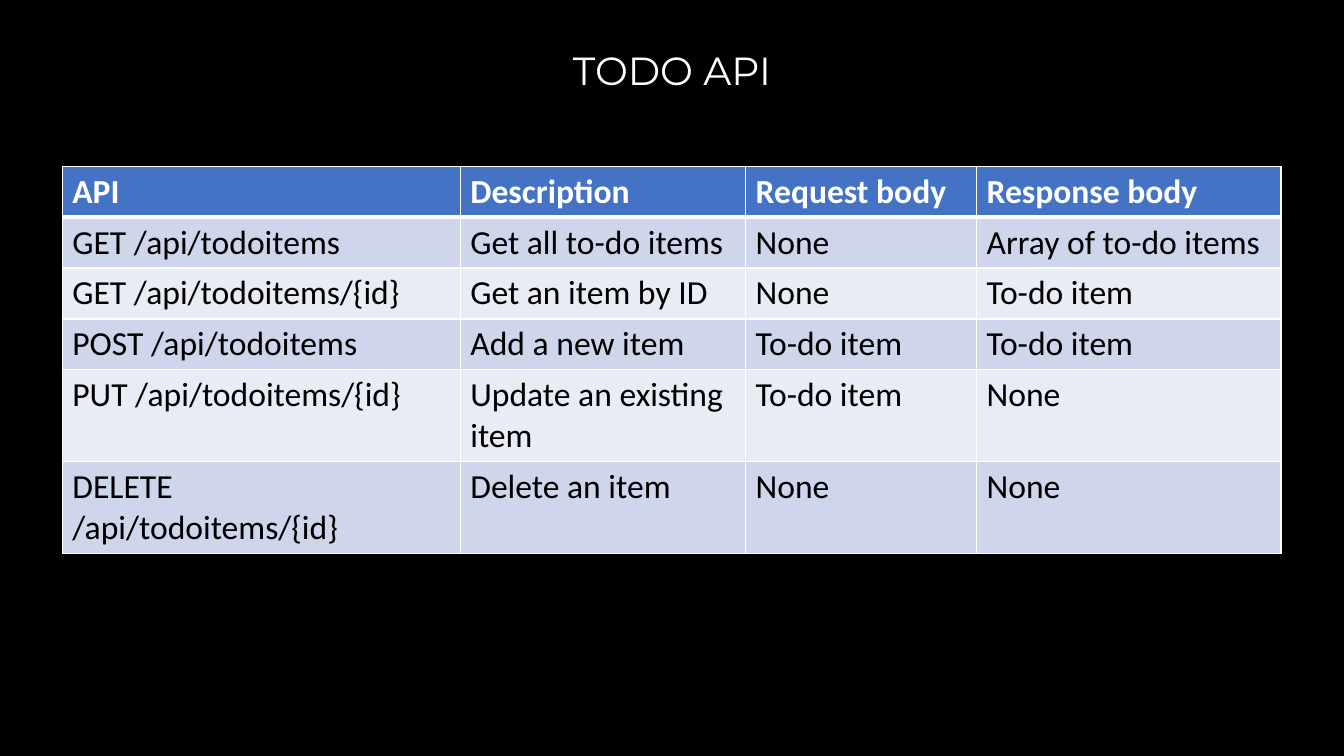
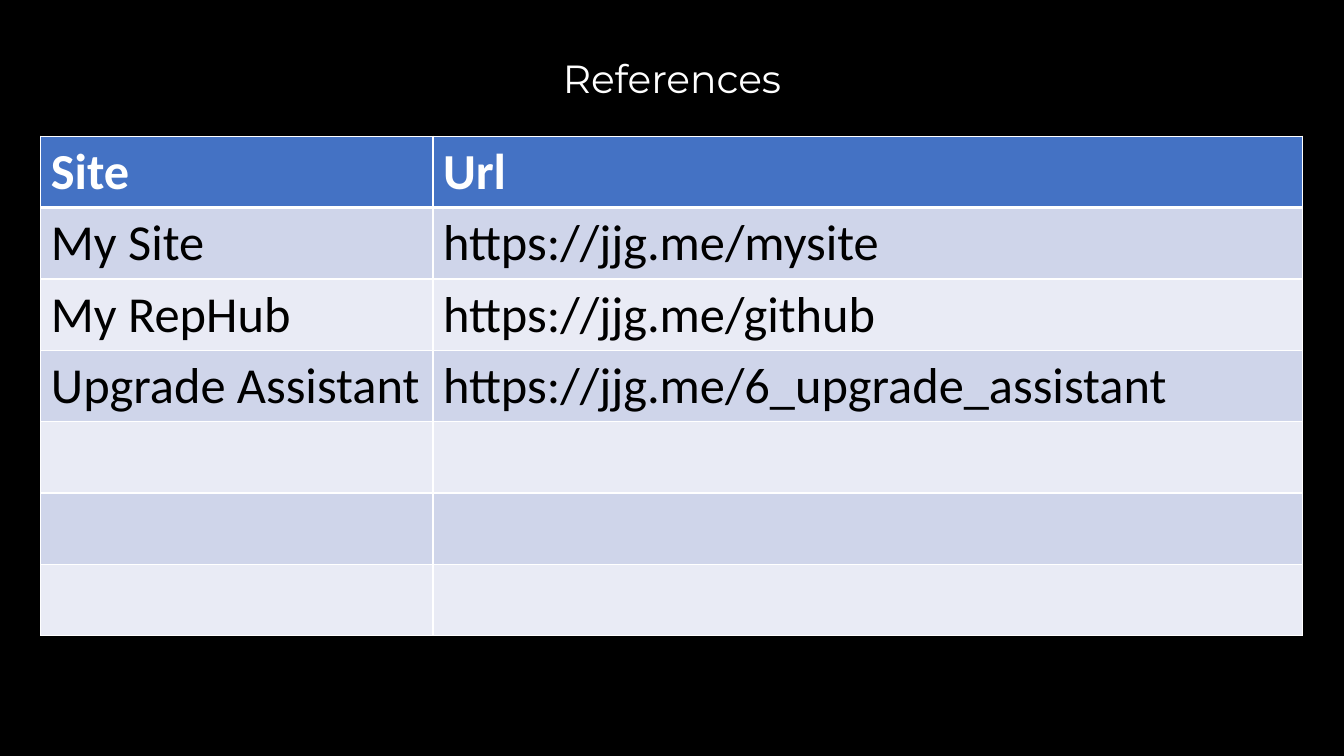
import pptx
import pptx.dml.color
import pptx.enum.text
import pptx.oxml
import pptx.oxml.ns
import pptx.util

Cm, Pt = pptx.util.Cm, pptx.util.Pt

BLACK, WHITE, HEADER = "000000", "FFFFFF", "4472C4"
BANDS = ("E9EBF5", "CFD5EA")
TITLE_FONT, TABLE_FONT = "Montserrat", "Calibri"
LINE_HEIGHT = 1.22
CELL_PADDING = Cm(0.25)

SLIDES = [
    {
        "title": "TODO API",
        "title_top": 0.81,
        "table_at": (1.57, 4.19),
        "columns": (10.03, 7.19, 5.82, 7.67),
        "line_counts": (1, 1, 1, 1, 2, 2),
        "size": 24,
        "rows": [
            ("API", "Description", "Request body", "Response body"),
            ("GET /api/todoitems", "Get all to-do items", "None", "Array of to-do items"),
            ("GET /api/todoitems/{id}", "Get an item by ID", "None", "To-do item"),
            ("POST /api/todoitems", "Add a new item", "To-do item", "To-do item"),
            ("PUT /api/todoitems/{id}", "Update an existing item", "To-do item", "None"),
            ("DELETE \v/api/todoitems/{id}", "Delete an item", "None", "None"),
        ],
    },
    {
        "title": "References",
        "title_top": 1.02,
        "table_at": (1.03, 3.43),
        "columns": (9.88, 21.92),
        "line_counts": (1,) * 7,
        "size": 36,
        "rows": [
            ("Site", "Url"),
            ("My Site", "https://jjg.me/mysite"),
            ("My RepHub", "https://jjg.me/github"),
            ("Upgrade Assistant", "https://jjg.me/6_upgrade_assistant"),
            ("", ""),
            ("", ""),
            ("", ""),
        ],
    },
]


def color(value):
    return pptx.dml.color.RGBColor.from_string(value)


def style_font(font, name, size, value, bold=False):
    font.name, font.size, font.bold = name, Pt(size), bold
    font.color.rgb = color(value)


def add_title(slide, text, top):
    frame = slide.shapes.add_textbox(Cm(2.33), Cm(top), Cm(29.21), Cm(2.03)).text_frame
    frame.word_wrap = True
    frame.vertical_anchor = pptx.enum.text.MSO_ANCHOR.MIDDLE
    frame.text = text
    paragraph = frame.paragraphs[0]
    paragraph.alignment = pptx.enum.text.PP_ALIGN.CENTER
    paragraph.line_spacing = 0.9
    style_font(paragraph.font, TITLE_FONT, 28, WHITE)


def add_borders(cell, top, bottom):
    properties = cell._tc.get_or_add_tcPr()
    for side, width in (("L", 1), ("R", 1), ("T", top), ("B", bottom)):
        properties.append(pptx.oxml.parse_xml(
            f'<a:ln{side} {pptx.oxml.ns.nsdecls("a")} w="{Pt(width)}">'
            f'<a:solidFill><a:srgbClr val="{WHITE}"/></a:solidFill></a:ln{side}>'
        ))


def fill_cell(cell, text, row, size):
    header = row == 0
    add_borders(cell, 3 if row == 1 else 1, 3 if header else 1)
    cell.fill.solid()
    cell.fill.fore_color.rgb = color(HEADER if header else BANDS[row % 2])
    cell.text_frame.text = text
    for paragraph in cell.text_frame.paragraphs:
        style_font(paragraph.font, TABLE_FONT, size, WHITE if header else BLACK, header)


def add_banded_table(slide, content):
    rows, size = content["rows"], content["size"]
    widths = [Cm(width) for width in content["columns"]]
    heights = [int(Pt(size) * LINE_HEIGHT * lines) + CELL_PADDING
               for lines in content["line_counts"]]
    left, top = map(Cm, content["table_at"])
    table = slide.shapes.add_table(
        len(rows), len(widths), left, top, sum(widths), sum(heights)).table
    for column, width in zip(table.columns, widths):
        column.width = width
    for row, (texts, height) in enumerate(zip(rows, heights)):
        table.rows[row].height = height
        for column, text in enumerate(texts):
            fill_cell(table.cell(row, column), text, row, size)


def main():
    """Build the API overview and reference slides."""
    deck = pptx.Presentation()
    deck.slide_width, deck.slide_height = Cm(33.87), Cm(19.05)
    for content in SLIDES:
        slide = deck.slides.add_slide(deck.slide_layouts[6])
        slide.background.fill.solid()
        slide.background.fill.fore_color.rgb = color(BLACK)
        add_title(slide, content["title"], content["title_top"])
        add_banded_table(slide, content)
    deck.save("out.pptx")


if __name__ == "__main__":
    main()
